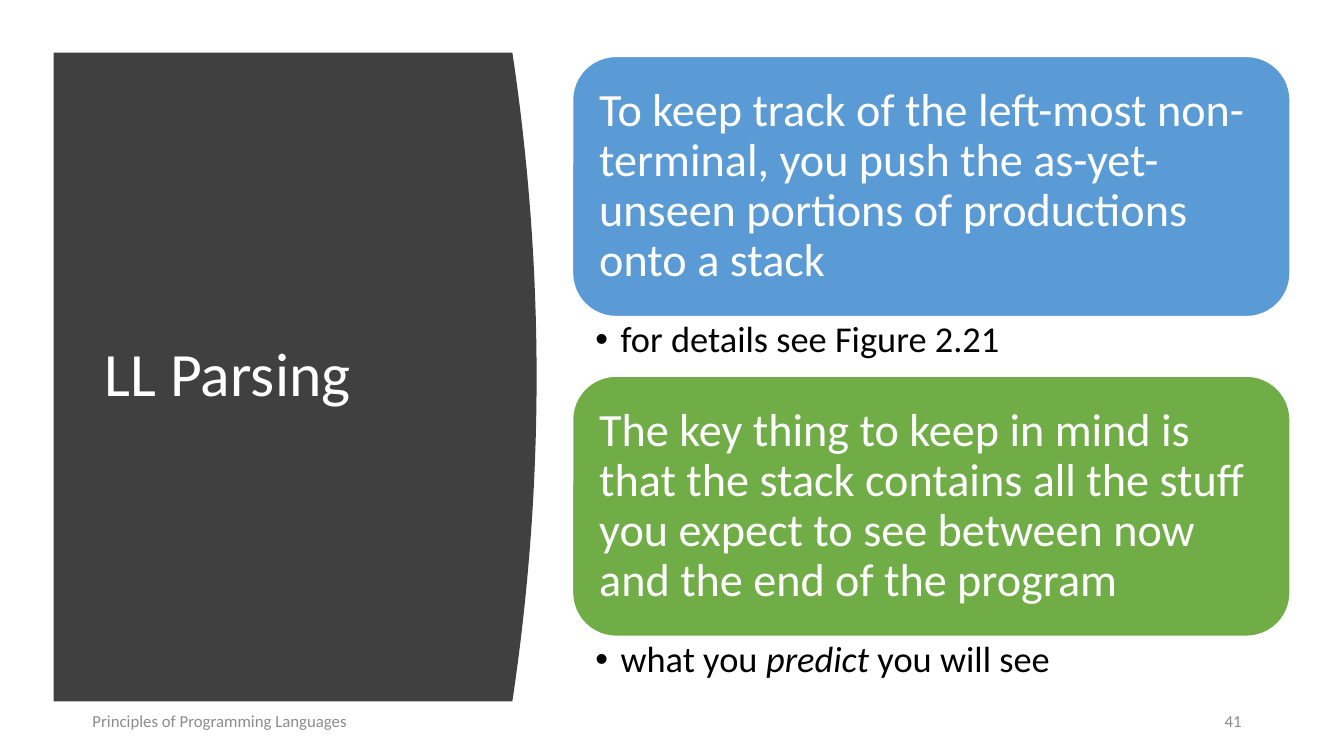
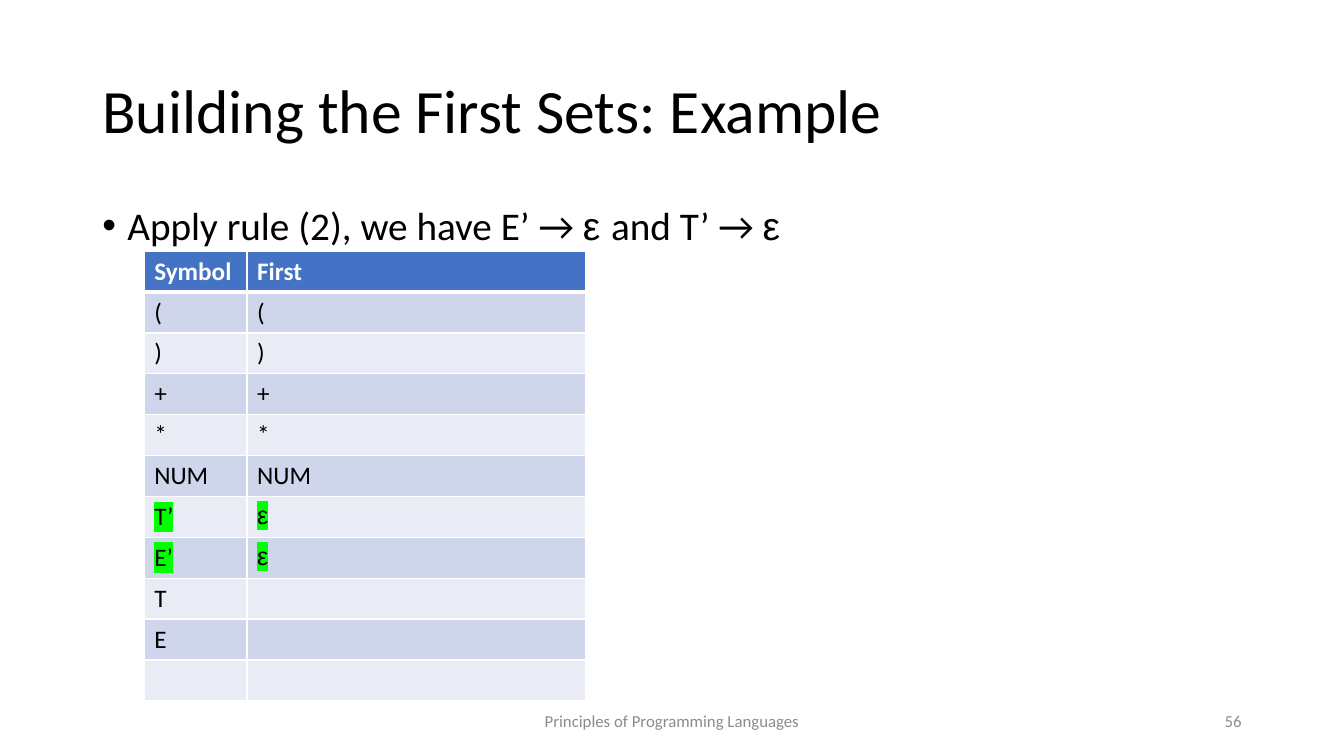
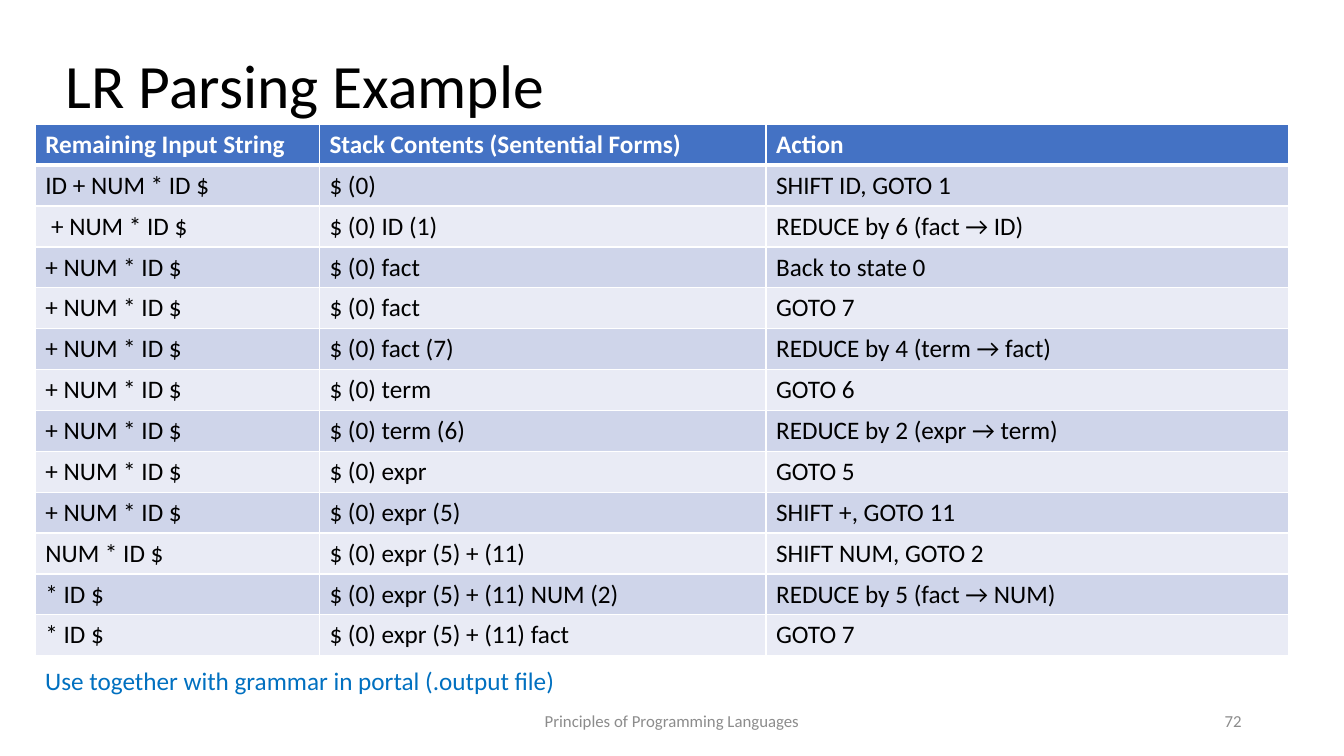
import dataclasses

import pptx
import pptx.dml.color
import pptx.enum.shapes
import pptx.enum.text
import pptx.oxml
import pptx.oxml.ns
import pptx.util
import lxml.etree

Pt = pptx.util.Pt
RGB = pptx.dml.color.RGBColor.from_string
ALIGN = pptx.enum.text.PP_ALIGN
ANCHOR = pptx.enum.text.MSO_ANCHOR
SHAPE = pptx.enum.shapes.MSO_SHAPE
qn = pptx.oxml.ns.qn


@dataclasses.dataclass(frozen=True)
class Theme:
    font: str = "Calibri"
    symbol_font: str = "Arial"
    black: str = "000000"
    white: str = "FFFFFF"
    grey: str = "8C8C8C"
    panel: str = "404040"
    blue: str = "5B9BD5"
    green: str = "70AD47"
    header: str = "4472C4"
    bands: tuple = ("CFD5EA", "E9EBF5")
    note: str = "0070C0"
    highlight: str = "00FF00"
    title_size: int = 44
    card_size: int = 33
    body_size: int = 28
    detail_size: int = 26
    table_size: int = 18
    footer_size: int = 12


T = Theme()


def write(tf, chunks, size, color, align=ALIGN.LEFT, anchor=ANCHOR.TOP, spacing=1.0, bullet=False):
    """Fill a text frame with one paragraph, one run per chunk."""
    tf.word_wrap = True
    tf.auto_size = pptx.enum.text.MSO_AUTO_SIZE.NONE
    tf.vertical_anchor = anchor
    p = tf.paragraphs[0]
    p.alignment = align
    p.line_spacing = spacing
    for chunk in chunks:
        r = p.add_run()
        r.text = chunk
        r.font.size = Pt(size)
        r.font.name = T.symbol_font if "ε" in chunk else T.font
        r.font.color.rgb = RGB(color)
    if bullet:
        pPr = p._p.get_or_add_pPr()
        pPr.set("marL", str(Pt(18)))
        pPr.set("indent", str(Pt(-18)))
        lxml.etree.SubElement(pPr, qn("a:buFont")).set("typeface", T.symbol_font)
        lxml.etree.SubElement(pPr, qn("a:buChar")).set("char", "•")
    return p


def add_table(s, left, top, widths, rows, highlighted=()):
    """Add a banded table; rows whose first cell is in highlighted get marked text."""
    row_height = 29.2
    table = s.shapes.add_table(len(rows), len(widths), Pt(left), Pt(top),
                               Pt(sum(widths)), Pt(row_height * len(rows))).table
    for column, width in zip(table.columns, widths):
        column.width = Pt(width)
    for i, row in enumerate(rows):
        table.rows[i].height = Pt(row_height)
        for j, text in enumerate(row):
            cell = table.cell(i, j)
            # Thin white borders, with a thick rule under the header
            tcPr = cell._tc.get_or_add_tcPr()
            thick = {0: "lnB", 1: "lnT"}.get(i)
            for side in ("lnL", "lnR", "lnT", "lnB"):
                ln = lxml.etree.SubElement(tcPr, qn("a:" + side), w=str(Pt(3 if side == thick else 1)))
                fill = lxml.etree.SubElement(ln, qn("a:solidFill"))
                lxml.etree.SubElement(fill, qn("a:srgbClr"), val=T.white)
            cell.fill.solid()
            cell.fill.fore_color.rgb = RGB(T.bands[(i - 1) % 2] if i else T.header)
            cell.text = text
            for r in cell.text_frame.paragraphs[0].runs:
                r.font.size = Pt(T.table_size)
                r.font.name = T.symbol_font if text == "ε" else T.font
                r.font.bold = i == 0
                r.font.color.rgb = RGB(T.black if i else T.white)
                if row[0] in highlighted:
                    rPr = r._r.get_or_add_rPr()
                    mark = lxml.etree.Element(qn("a:highlight"))
                    lxml.etree.SubElement(mark, qn("a:srgbClr"), val=T.highlight)
                    rPr.find(qn("a:solidFill")).addnext(mark)


prs = pptx.Presentation()
prs.slide_width, prs.slide_height = Pt(960), Pt(540)

# Titles, footers and slide numbers
pages = [
    ("LL Parsing", (67.7, 80, 269.3, 377.3), T.white, 59, ALIGN.LEFT, "41"),
    ("Building the First Sets: Example", (66, 28.75, 828, 104.4), T.black, 318, ALIGN.CENTER, "56"),
    ("LR Parsing Example", (39.6, 10.8, 828, 104.4), T.black, 318, ALIGN.CENTER, "72"),
]
slides = []
for title, box, color, footer_left, footer_align, number in pages:
    s = prs.slides.add_slide(prs.slide_layouts[5])
    slides.append(s)
    sp = s.shapes.title
    sp.left, sp.top, sp.width, sp.height = map(Pt, box)
    write(sp.text_frame, [title], T.title_size, color, anchor=ANCHOR.MIDDLE, spacing=0.9)
    for text, left, width, align in (
        ("Principles of Programming Languages", footer_left, 324, footer_align),
        (number, 678, 216, ALIGN.RIGHT),
    ):
        sp = s.shapes.add_textbox(Pt(left), Pt(500.5), Pt(width), Pt(28.75))
        write(sp.text_frame, [text], T.footer_size, T.grey, align, ANCHOR.MIDDLE)

# LL Parsing: dark panel with a bowed right edge, behind the title
s = slides[0]
left, right, top, height, bulge, steps = 38.25, 366, 37.5, 463.5, 17.3, 32
edge = []
for k in range(steps + 1):
    t = k / steps
    edge.append((Pt(right + bulge * 4 * t * (1 - t)), Pt(top + height * t)))
builder = s.shapes.build_freeform(Pt(left), Pt(top))
builder.add_line_segments(edge + [(Pt(left), Pt(top + height))], close=True)
panel = builder.convert_to_shape()
panel.shadow.inherit = False
panel.fill.solid()
panel.fill.fore_color.rgb = RGB(T.panel)
panel.line.fill.background()
panel.element.addnext(s.shapes.title.element)

# LL Parsing: cards, each with a detail bullet below
cards = [
    (T.blue, "To keep track of the left-most non-terminal, you push the as-yet-unseen portions "
             "of productions onto a stack", ["for details see Figure 2.21"]),
    (T.green, "The key thing to keep in mind is that the stack contains all the stuff you expect "
              "to see between now and the end of the program", ["what you ", "predict", " you will see"]),
]
card_left, card_width, card_height, detail_height = 409, 512.5, 185.8, 42.6
for i, (color, text, detail) in enumerate(cards):
    top = 40.3 + i * (card_height + detail_height)
    sp = s.shapes.add_shape(SHAPE.ROUNDED_RECTANGLE, Pt(card_left), Pt(top), Pt(card_width), Pt(card_height))
    sp.shadow.inherit = False
    sp.fill.solid()
    sp.fill.fore_color.rgb = RGB(color)
    sp.line.color.rgb = RGB(T.white)
    sp.line.width = Pt(1)
    tf = sp.text_frame
    tf.margin_left = tf.margin_right = Pt(10)
    write(tf, [text], T.card_size, T.white, anchor=ANCHOR.MIDDLE, spacing=0.9)

    sp = s.shapes.add_textbox(Pt(card_left), Pt(top + card_height), Pt(card_width), Pt(detail_height))
    tf = sp.text_frame
    tf.margin_left, tf.margin_right = Pt(16.3), Pt(18.5)
    p = write(tf, detail, T.detail_size, T.black, spacing=0.9, bullet=True)
    for r in p.runs:
        r.font.italic = r.text == "predict"

# First sets: rule and table
s = slides[1]
sp = s.shapes.add_textbox(Pt(66), Pt(143.75), Pt(828), Pt(36))
write(sp.text_frame, ["Apply rule (2), we have E’ → ", "ε ", "and T’ → ", "ε"],
      T.body_size, T.black, spacing=0.9, bullet=True)
rows = [("Symbol", "First")]
rows += [(terminal, terminal) for terminal in ("(", ")", "+", "*", "NUM")]
rows += [("T’", "ε"), ("E’", "ε"), ("T", ""), ("E", ""), ("", "")]
add_table(s, 103, 179.4, (73.5, 242), rows, highlighted=("T’", "E’"))

# LR parsing: trace table and note
s = slides[2]
rows = [
    ("Remaining Input String", "Stack Contents (Sentential Forms)", "Action"),
    ("ID + NUM * ID $", "$ (0)", "SHIFT ID, GOTO 1"),
    (" + NUM * ID $", "$ (0) ID (1)", "REDUCE by 6 (fact → ID)"),
    ("+ NUM * ID $", "$ (0) fact", "Back to state 0"),
    ("+ NUM * ID $", "$ (0) fact", "GOTO 7"),
    ("+ NUM * ID $", "$ (0) fact (7)", "REDUCE by 4 (term → fact)"),
    ("+ NUM * ID $", "$ (0) term", "GOTO 6"),
    ("+ NUM * ID $", "$ (0) term (6)", "REDUCE by 2 (expr → term)"),
    ("+ NUM * ID $", "$ (0) expr", "GOTO 5"),
    ("+ NUM * ID $", "$ (0) expr (5)", "SHIFT +, GOTO 11"),
    ("NUM * ID $", "$ (0) expr (5) + (11)", "SHIFT NUM, GOTO 2"),
    ("* ID $", "$ (0) expr (5) + (11) NUM (2)", "REDUCE by 5 (fact → NUM)"),
    ("* ID $", "$ (0) expr (5) + (11) fact", "GOTO 7"),
]
add_table(s, 25.2, 88.8, (203, 319, 373), rows)
sp = s.shapes.add_textbox(Pt(25.2), Pt(471.5), Pt(400), Pt(29))
write(sp.text_frame, ["Use together with grammar in portal (.output file)"], T.table_size, T.note)

prs.save("out.pptx")
